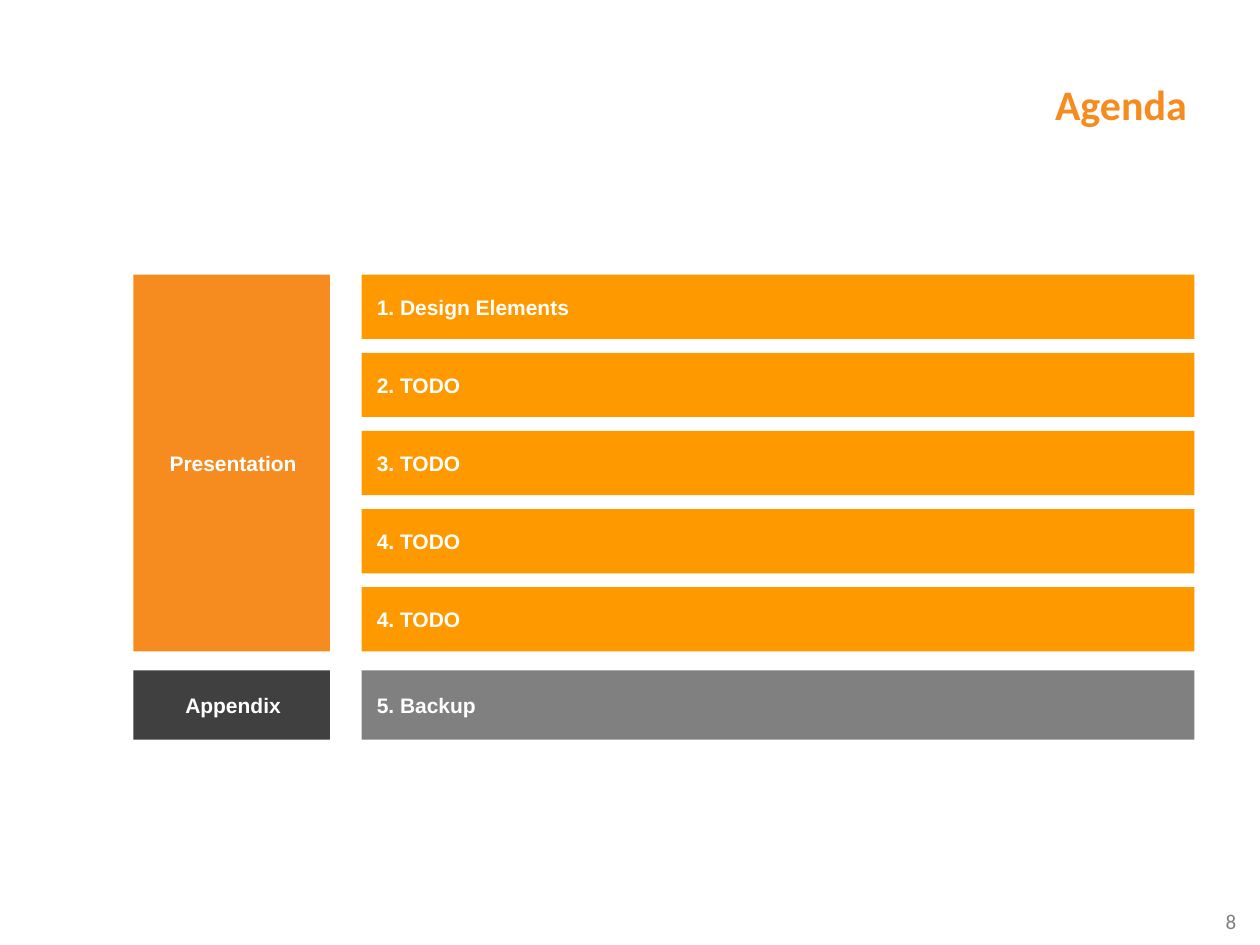
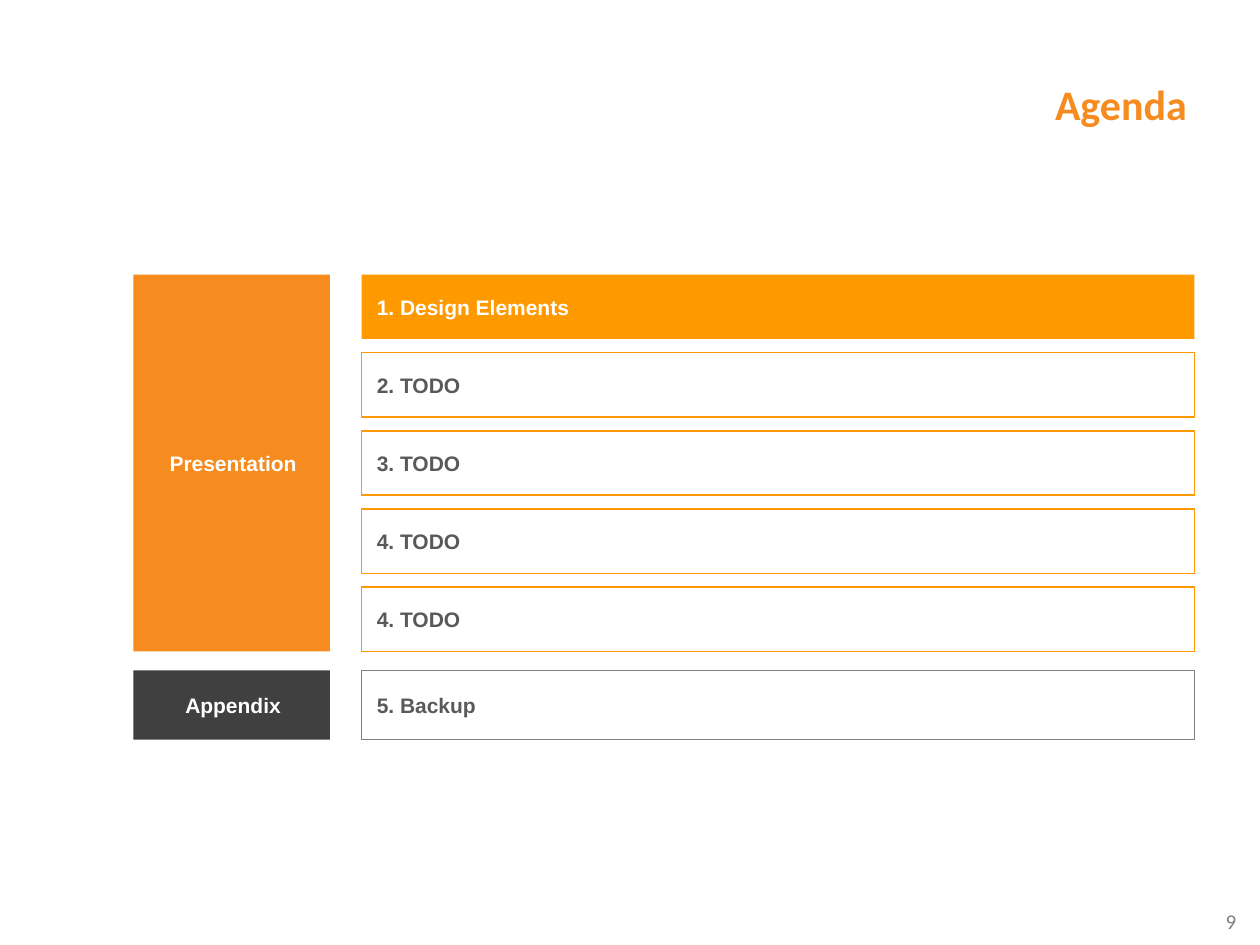
from pptx import Presentation
from pptx.dml.color import RGBColor
from pptx.enum import shapes, text
from pptx.util import Inches, Pt

ORANGE = RGBColor(0xF6, 0x8B, 0x1F)
AMBER = RGBColor(0xFF, 0x99, 0x00)
GRAY = RGBColor(0x80, 0x80, 0x80)
CHARCOAL = RGBColor(0x40, 0x40, 0x40)
TEXT_GRAY = RGBColor(0x59, 0x59, 0x59)
WHITE = RGBColor(0xFF, 0xFF, 0xFF)

TOPICS = ["1. Design Elements", "2. TODO", "3. TODO", "4. TODO", "4. TODO"]
BACKUP = "5. Backup"

# Agenda box: left, top, width, height
AGENDA_BOX = (1.06, 2.18, 8.42, 3.69)
LABEL_WIDTH = 1.56
COLUMN_GAP = 0.25
TOPIC_HEIGHT = 0.51
APPENDIX_HEIGHT = 0.55
SECTION_GAP = 0.15


def write_text(shape, content, size=12, font="Arial", color=WHITE, bold=False,
               align=text.PP_ALIGN.LEFT, anchor=text.MSO_ANCHOR.TOP,
               line_spacing=None):
    frame = shape.text_frame
    frame.word_wrap = True
    frame.auto_size = text.MSO_AUTO_SIZE.NONE
    frame.vertical_anchor = anchor
    paragraph = frame.paragraphs[0]
    paragraph.alignment = align
    paragraph.line_spacing = line_spacing
    run = paragraph.add_run()
    run.text = content
    run.font.size = Pt(size)
    run.font.name = font
    run.font.bold = bold
    run.font.color.rgb = color


def add_bar(slide, box, label, color, filled=True, align=text.PP_ALIGN.LEFT):
    """Draw a labelled rectangle, either filled or only outlined."""
    bar = slide.shapes.add_shape(shapes.MSO_SHAPE.RECTANGLE,
                                 *(Inches(value) for value in box))
    bar.shadow.inherit = False
    if filled:
        bar.fill.solid()
        bar.fill.fore_color.rgb = color
        bar.line.fill.background()
    else:
        bar.fill.background()
        bar.line.color.rgb = color
        bar.line.width = Pt(0.75)
    bar.text_frame.margin_left = Inches(0.12)
    write_text(bar, label, color=WHITE if filled else TEXT_GRAY, bold=True,
               align=align, anchor=text.MSO_ANCHOR.MIDDLE)


def add_frame(slide, title, number):
    """Format the title and add the page number."""
    heading = slide.shapes.title
    heading.left, heading.top = Inches(3.35), Inches(0)
    heading.width, heading.height = Inches(6.17), Inches(1.07)
    write_text(heading, title, size=24, font="Calibri", color=ORANGE, bold=True,
               align=text.PP_ALIGN.RIGHT, anchor=text.MSO_ANCHOR.BOTTOM,
               line_spacing=Pt(29))
    page_number = slide.shapes.add_textbox(Inches(7.58), Inches(7.16),
                                           Inches(2.33), Inches(0.37))
    write_text(page_number, str(number), font="Calibri", color=GRAY,
               align=text.PP_ALIGN.RIGHT)


def add_agenda(slide, box, highlighted):
    """Place the section labels on the left and their topics on the right."""
    left, top, width, height = box
    topic_left = left + LABEL_WIDTH + COLUMN_GAP
    topic_width = width - LABEL_WIDTH - COLUMN_GAP
    main_height = height - APPENDIX_HEIGHT - SECTION_GAP
    appendix_top = top + height - APPENDIX_HEIGHT
    pitch = (main_height - TOPIC_HEIGHT) / (len(TOPICS) - 1)

    # Section labels
    add_bar(slide, (left, top, LABEL_WIDTH, main_height), "Presentation",
            ORANGE, align=text.PP_ALIGN.CENTER)
    add_bar(slide, (left, appendix_top, LABEL_WIDTH, APPENDIX_HEIGHT), "Appendix",
            CHARCOAL, align=text.PP_ALIGN.CENTER)

    # Topics
    for index, topic in enumerate(TOPICS):
        add_bar(slide, (topic_left, top + index * pitch, topic_width, TOPIC_HEIGHT),
                topic, AMBER, filled=index in highlighted)
    add_bar(slide, (topic_left, appendix_top, topic_width, APPENDIX_HEIGHT),
            BACKUP, GRAY, filled=len(TOPICS) in highlighted)


def add_agenda_slide(presentation, number, highlighted):
    slide = presentation.slides.add_slide(presentation.slide_layouts[5])
    add_frame(slide, "Agenda", number)
    add_agenda(slide, AGENDA_BOX, highlighted)


def main():
    presentation = Presentation()
    presentation.slide_width = Inches(10)
    presentation.slide_height = Inches(7.5)
    # Full overview, then the first topic highlighted
    add_agenda_slide(presentation, 8, range(len(TOPICS) + 1))
    add_agenda_slide(presentation, 9, [0])
    presentation.save("out.pptx")


if __name__ == "__main__":
    main()
